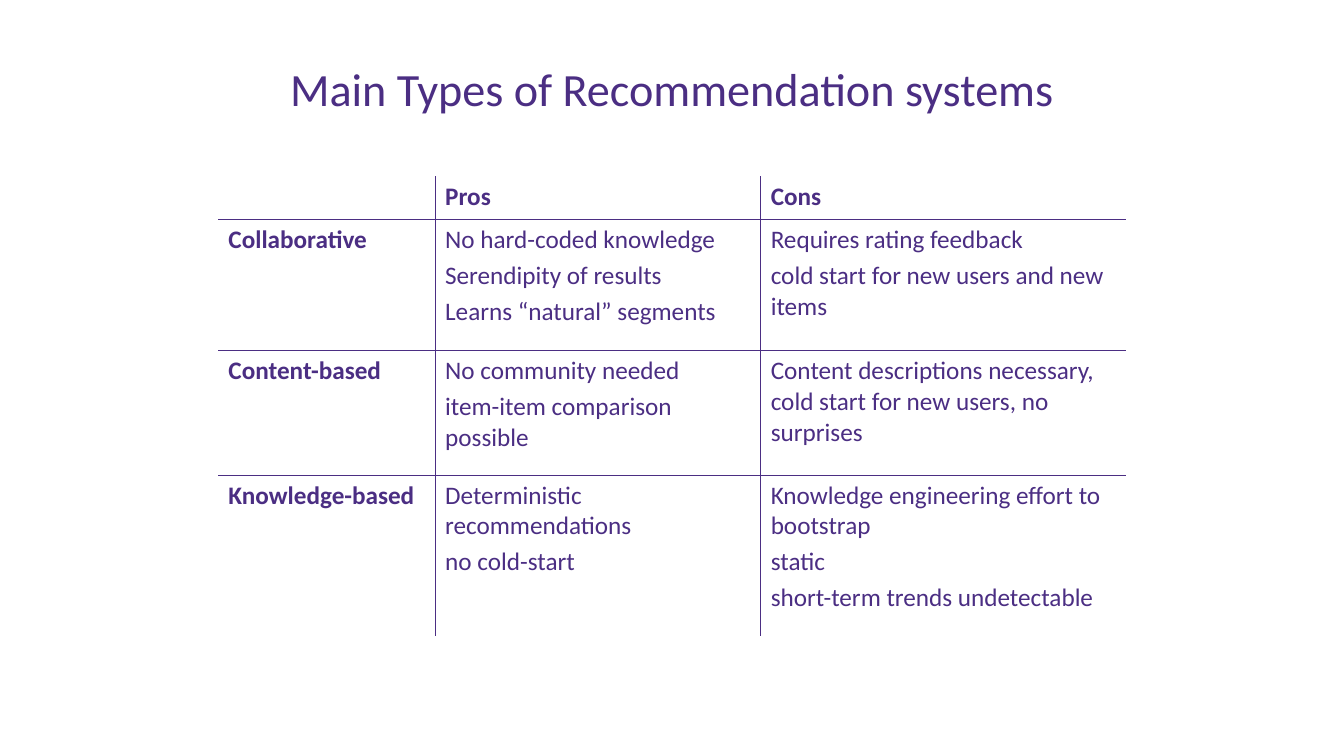
"""Build a slide comparing the main types of recommendation systems."""
from lxml.etree import SubElement
from pptx import Presentation
from pptx.dml.color import RGBColor
from pptx.enum.text import MSO_ANCHOR, PP_ALIGN
from pptx.oxml.ns import qn
from pptx.util import Pt

PURPLE = RGBColor(0x4B, 0x2E, 0x83)
FONT = "Calibri"
COLUMN_WIDTHS = [154.8, 232.6, 260.6]
ROW_HEIGHTS = [30.8, 93.6, 89, 115]
ROWS = [
    [[], ["Pros"], ["Cons"]],
    [
        ["Collaborative"],
        ["No hard-coded knowledge", "Serendipity of results", "Learns “natural” segments"],
        ["Requires rating feedback", "cold start for new users and new items"],
    ],
    [
        ["Content-based"],
        ["No community needed", "item-item comparison possible"],
        ["Content descriptions necessary, cold start for new users, no surprises"],
    ],
    [
        ["Knowledge-based"],
        ["Deterministic recommendations", "no cold-start"],
        ["Knowledge engineering effort to bootstrap", "static", "short-term trends undetectable"],
    ],
]


def add_span(para, text, size, bold=False):
    span = para.add_run()
    span.text = text
    span.font.name = FONT
    span.font.size = Pt(size)
    span.font.bold = bold
    span.font.color.rgb = PURPLE


def add_border(cell, side, visible):
    line = SubElement(cell._tc.get_or_add_tcPr(), qn(f"a:ln{side}"), w=str(Pt(1)))
    if visible:
        fill = SubElement(line, qn("a:solidFill"))
        SubElement(fill, qn("a:srgbClr"), val=str(PURPLE))
    else:
        SubElement(line, qn("a:noFill"))


deck = Presentation()
deck.slide_width = Pt(960)
deck.slide_height = Pt(540)
page = deck.slides.add_slide(deck.slide_layouts[6])

title_box = page.shapes.add_textbox(Pt(48), Pt(18), Pt(864), Pt(90))
title_box.text_frame.word_wrap = True
title_box.text_frame.vertical_anchor = MSO_ANCHOR.MIDDLE
title = title_box.text_frame.paragraphs[0]
title.alignment = PP_ALIGN.CENTER
add_span(title, "Main Types of Recommendation systems", 33)

table = page.shapes.add_table(
    len(ROWS), len(COLUMN_WIDTHS), Pt(156), Pt(126), Pt(sum(COLUMN_WIDTHS)), Pt(sum(ROW_HEIGHTS))
).table
table.first_row = False
table.horz_banding = False
for column, width in zip(table.columns, COLUMN_WIDTHS):
    column.width = Pt(width)
for row, height in zip(table.rows, ROW_HEIGHTS):
    row.height = Pt(height)

last_row = len(ROWS) - 1
last_column = len(COLUMN_WIDTHS) - 1
for row_index, row in enumerate(ROWS):
    for column_index, lines in enumerate(row):
        cell = table.cell(row_index, column_index)
        add_border(cell, "L", column_index > 0)
        add_border(cell, "R", column_index < last_column)
        add_border(cell, "T", row_index > 0)
        add_border(cell, "B", row_index < last_row)
        cell.fill.background()
        frame = cell.text_frame
        for line_index, text in enumerate(lines):
            para = frame.add_paragraph() if line_index else frame.paragraphs[0]
            if line_index:
                para.space_before = Pt(3.6)
            add_span(para, text, 18, bold=row_index == 0 or column_index == 0)

deck.save("out.pptx")
